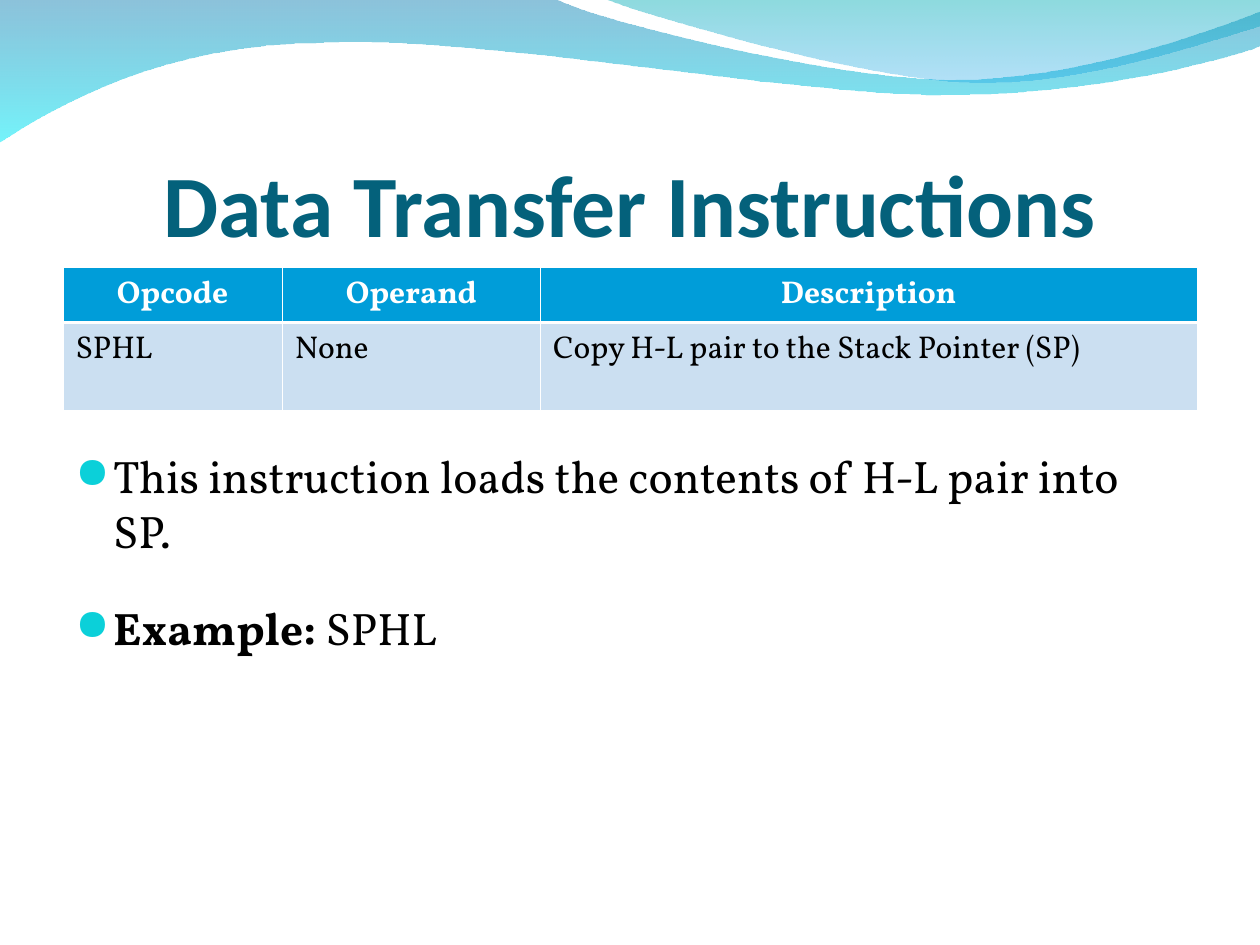
import pptx
import pptx.dml.color
import pptx.enum.text
import pptx.oxml
import pptx.oxml.ns
import pptx.util
from lxml import etree

deck = pptx.Presentation()
deck.slide_width = pptx.util.Inches(10)
deck.slide_height = pptx.util.Inches(7.5)
page = deck.slides.add_slide(deck.slide_layouts[6])

# Grid: 10 columns by 7.5 rows of square cells
unit = deck.slide_width / 10
margin, content_width = 0.5, 9
align = pptx.enum.text.PP_ALIGN
qn = pptx.oxml.ns.qn


def colour(code):
    return pptx.dml.color.RGBColor.from_string(code)


def style(span, font, size, code, bold=False):
    span.font.name = font
    span.font.size = pptx.util.Pt(size)
    span.font.bold = bold
    span.font.color.rgb = colour(code)


# Header waves: two numbers are a line end, six are a cubic curve
waves = [
    ([(0, -0.01), (4.4, -0.01), (4.76, 0.17, 6.64, 0.63, 7.58, 0.63),
      (8.53, 0.63, 9.58, 0.26, 10, 0.09), (10.01, 0.36),
      (9.83, 0.44, 8.7, 0.76, 7.46, 0.75), (6.22, 0.75, 3.82, 0.28, 2.57, 0.34),
      (1.29, 0.35, 0.46, 0.83, -0.01, 1.13)],
     [("0079AF", 45), ("00EBF8", 55)]),
    ([(4.79, -0.01), (5.09, 0.11, 6.82, 0.62, 7.69, 0.65),
      (8.56, 0.69, 9.61, 0.32, 10, 0.21), (10, 0)],
     [("00ADB6", 45), ("009BE5", 30)]),
]
for segments, shades in waves:
    outline = [[int(n * unit) for n in segment] for segment in segments]
    builder = page.shapes.build_freeform(*outline[0])
    builder.add_line_segments([segment[-2:] for segment in outline[1:]], close=True)
    wave = builder.convert_to_shape()
    # Bend the straight segments that have control points
    for edge, segment in zip(list(wave._element.iter(qn("a:lnTo"))), outline[1:]):
        if len(segment) == 6:
            edge.tag = qn("a:cubicBezTo")
            for place in (0, 1):
                x, y = segment[2 * place:2 * place + 2]
                edge.insert(place, etree.Element(
                    qn("a:pt"), x=str(x - wave.left), y=str(y - wave.top)))
    wave.shadow.inherit = False
    wave.line.fill.background()
    wave.fill.gradient()
    wave.fill.gradient_angle = 270
    for stop, (code, opacity) in zip(wave.fill.gradient_stops, shades):
        stop.color.rgb = colour(code)
    for tint, (code, opacity) in zip(wave._element.iter(qn("a:srgbClr")), shades):
        etree.SubElement(tint, qn("a:alpha"), val=str(opacity * 1000))

# Title
title = page.shapes.add_textbox(*[int(n * unit) for n in (margin, 0.77, content_width, 1.25)])
frame = title.text_frame
frame.word_wrap = True
frame.vertical_anchor = pptx.enum.text.MSO_ANCHOR.BOTTOM
frame.margin_left = frame.margin_right = frame.margin_bottom = 0
frame.text = "Data Transfer Instructions"
frame.paragraphs[0].alignment = align.CENTER
style(frame.paragraphs[0].runs[0], "Calibri", 50, "04617B", True)

# Instruction table
rows = [["Opcode", "Operand", "Description"],
        ["SPHL", "None", "Copy H-L pair to the Stack Pointer (SP)"]]
table = page.shapes.add_table(
    2, 3, *[int(n * unit) for n in (margin, 2.12, content_width, 1.14)]).table
for column, width in zip(table.columns, (1.74, 2.05, 5.21)):
    column.width = int(width * unit)
for row, height in zip(table.rows, (0.44, 0.7)):
    row.height = int(height * unit)
for r, texts in enumerate(rows):
    header = r == 0
    for c, text in enumerate(texts):
        cell = table.cell(r, c)
        cell.text = text
        para = cell.text_frame.paragraphs[0]
        para.alignment = align.CENTER if header else align.LEFT
        style(para.runs[0], "Vollkorn", 18, "FFFFFF" if header else "000000", header)
        cell.fill.solid()
        cell.fill.fore_color.rgb = colour("009DD9" if header else "CBDFF1")
        # White rules, heavier between header and body
        heavy = "B" if header else "T"
        for place, side in enumerate("LRTB"):
            weight = 1.47 if side == heavy else 0.45
            cell._tc.get_or_add_tcPr().insert(place, pptx.oxml.parse_xml(
                f'<a:ln{side} {pptx.oxml.ns.nsdecls("a")} w="{pptx.util.Pt(weight)}">'
                f'<a:solidFill><a:srgbClr val="{colour("FFFFFF")}"/></a:solidFill></a:ln{side}>'))

# Bulleted notes
notes = page.shapes.add_textbox(*[int(n * unit) for n in (margin, 3.51, content_width, 3.4)])
frame = notes.text_frame
frame.word_wrap = True
bullets = [[("This instruction loads the contents of H-L pair into SP.", False)],
           [("Example:", True), (" SPHL", False)]]
indent = int(0.3 * unit)
for number, spans in enumerate(bullets):
    para = frame.add_paragraph() if number else frame.paragraphs[0]
    props = para._p.get_or_add_pPr()
    props.set("marL", str(indent))
    props.set("indent", str(-indent))
    tint = etree.SubElement(props, qn("a:buClr"))
    etree.SubElement(tint, qn("a:srgbClr"), val=str(colour("0BD0D9")))
    etree.SubElement(props, qn("a:buSzPct"), val="95000")
    etree.SubElement(props, qn("a:buFont"), typeface="OpenSymbol")
    etree.SubElement(props, qn("a:buChar"), char="●")
    para.space_after = pptx.util.Pt(24)
    for text, bold in spans:
        span = para.add_run()
        span.text = text
        style(span, "Vollkorn", 26, "000000", bold)

deck.save("out.pptx")
